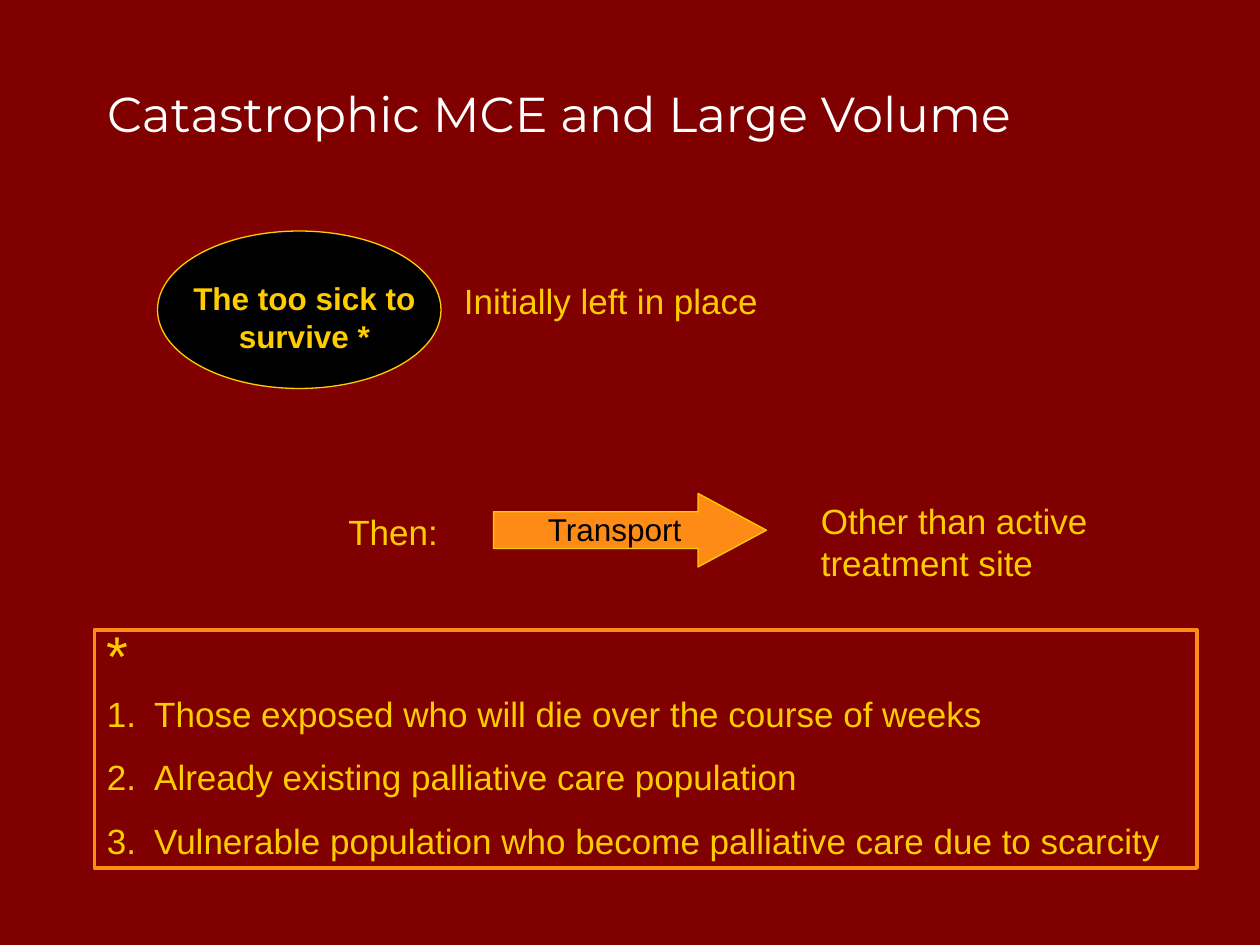
"""Build the slide on a catastrophic MCE and large volume."""
import pptx
import pptx.dml.color
import pptx.enum.shapes
import pptx.enum.text
import pptx.oxml
import pptx.oxml.ns
import pptx.util

Pt = pptx.util.Pt
Kind = pptx.enum.shapes.MSO_SHAPE
Align = pptx.enum.text.PP_ALIGN
Anchor = pptx.enum.text.MSO_ANCHOR
Fit = pptx.enum.text.MSO_AUTO_SIZE
HUES = {"back": "800000", "gold": "FFCC00", "amber": "FF8B17",
        "black": "000000", "white": "FFFFFF"}


class Deck:
    """Hold the style and the current slide."""

    def __init__(self):
        self.file = pptx.Presentation()
        self.file.slide_width, self.file.slide_height = Pt(720), Pt(540)
        self.slide = self.file.slides.add_slide(self.file.slide_layouts[5])
        self.tint(self.slide.background.fill, "back")

    def color(self, name):
        """Return the named colour."""
        return pptx.dml.color.RGBColor.from_string(HUES[name])

    def tint(self, fill, name):
        """Fill with a named colour, or with none."""
        if name:
            fill.solid()
            fill.fore_color.rgb = self.color(name)
        else:
            fill.background()

    def style(self, para, size, hue="gold", face="Arial", bold=False):
        """Set the font of a paragraph."""
        font = para.font
        font.size, font.name, font.bold = Pt(size), face, bold
        font.color.rgb = self.color(hue)

    def title(self, text, box):
        """Place and fill the title."""
        shape = self.slide.shapes.title
        shape.left, shape.top, shape.width, shape.height = map(Pt, box)
        frame = shape.text_frame
        frame.text = text
        frame.word_wrap, frame.auto_size = True, Fit.NONE
        frame.vertical_anchor, frame.margin_bottom = Anchor.MIDDLE, Pt(37.6)
        para = frame.paragraphs[0]
        para.alignment = Align.LEFT
        self.style(para, 28, "white", "Montserrat")

    def shape(self, kind, box, fill, line, width=0.75):
        """Draw a preset shape."""
        shape = self.slide.shapes.add_shape(kind, *map(Pt, box))
        shape.shadow.inherit = False
        self.tint(shape.fill, fill)
        self.tint(shape.line.fill, line)
        shape.line.width = Pt(width)
        return shape

    def label(self, text, box, size=20, hue="gold", bold=False, align=Align.LEFT):
        """Add a text box of one paragraph."""
        frame = self.slide.shapes.add_textbox(*map(Pt, box)).text_frame
        frame.word_wrap, frame.auto_size = True, Fit.SHAPE_TO_FIT_TEXT
        para = frame.paragraphs[0]
        para.text, para.alignment = text, align
        self.style(para, size, hue, bold=bold)

    def number(self, para):
        """Number a paragraph with a hanging indent."""
        props = para._p.get_or_add_pPr()
        props.set("marL", str(Pt(27)))
        props.set("indent", str(-Pt(27)))
        space = pptx.oxml.ns.nsdecls("a")
        for xml in (f'<a:buClr {space}><a:srgbClr val="{HUES["gold"]}"/></a:buClr>',
                    f'<a:buFont {space} typeface="+mj-lt"/>',
                    f'<a:buAutoNum {space} type="arabicPeriod"/>'):
            props.append(pptx.oxml.parse_xml(xml))

    def notes(self, mark, items, box):
        """Draw a framed footnote with a numbered list."""
        frame = self.shape(Kind.RECTANGLE, box, None, "amber", 2.25).text_frame
        frame.word_wrap, frame.vertical_anchor = True, Anchor.TOP
        for rank, text in enumerate([mark, *items]):
            para = frame.add_paragraph() if rank else frame.paragraphs[0]
            para.text, para.alignment = text, Align.LEFT
            if rank:
                self.number(para)
                para.space_before = Pt(8.8 if rank == 1 else 12.5)
            if rank < 2:
                para.line_spacing = 0.75
            self.style(para, 20 if rank else 32)


def main():
    """Build and save the slide."""
    deck = Deck()
    deck.title("Catastrophic MCE and Large Volume", (54, 24, 624, 115))
    deck.shape(Kind.OVAL, (90, 132, 162, 90), "black", "gold")
    deck.label("The too sick to survive *", (102, 156, 144, 50.4), 18,
               bold=True, align=Align.CENTER)
    arrow = deck.shape(Kind.RIGHT_ARROW, (282, 282, 156, 42), "amber", "gold")
    arrow.adjustments[1] = 0.93
    deck.label("Transport", (306, 288, 102, 28.8), 18, "black")
    deck.label("Other than active treatment site", (462, 282, 174, 55.4))
    deck.label("Initially left in place", (258, 156, 252, 31.7))
    deck.label("Then:", (192, 288, 72, 31.7))
    deck.notes("*", ["Those exposed who will die over the course of weeks",
                     "Already existing palliative care population",
                     "Vulnerable population who become palliative care due to scarcity"],
               (54, 360, 630, 136))
    deck.file.save("out.pptx")


if __name__ == "__main__":
    main()
